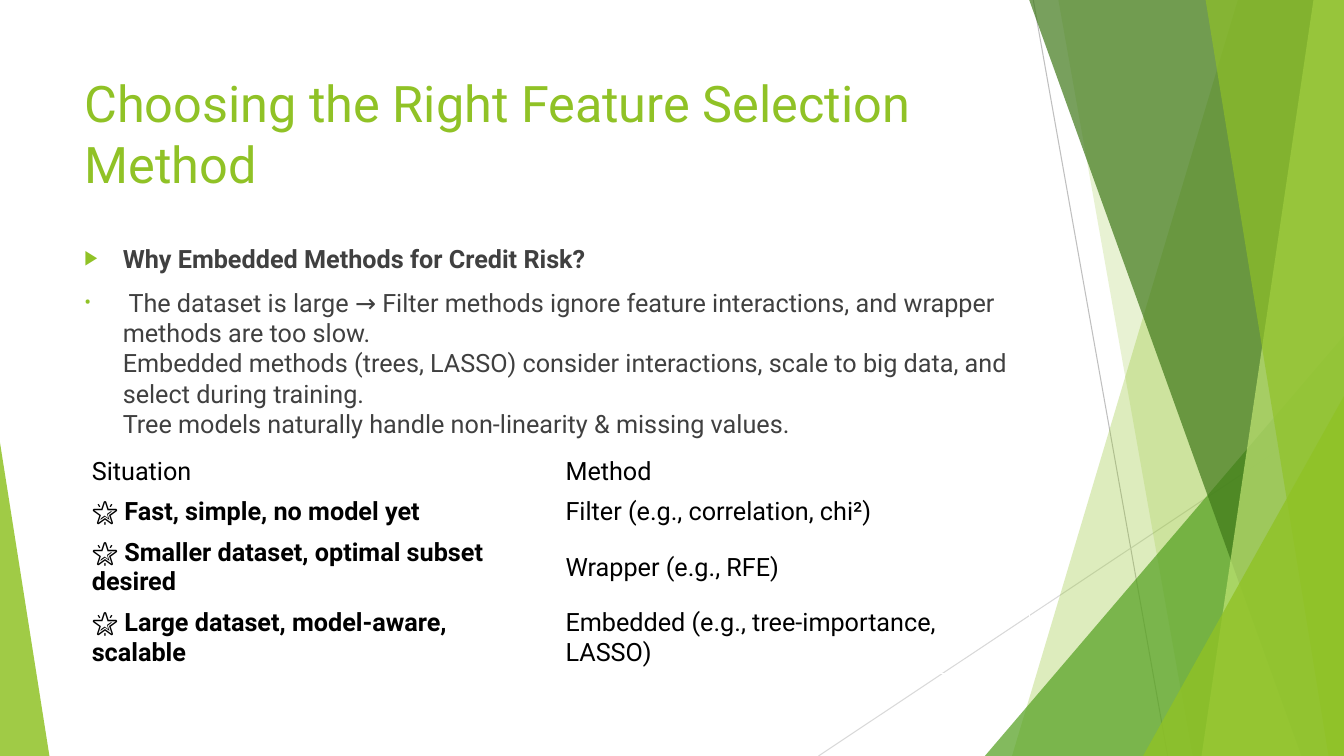
from lxml import etree
from pptx import Presentation
from pptx.dml.color import RGBColor
from pptx.enum.shapes import MSO_CONNECTOR, MSO_SHAPE
from pptx.enum.text import MSO_ANCHOR
from pptx.oxml.ns import qn
from pptx.util import Inches, Pt

STRAIGHT = MSO_CONNECTOR.STRAIGHT
TRIANGLE = MSO_SHAPE.ISOSCELES_TRIANGLE
MIDDLE = MSO_ANCHOR.MIDDLE

W, H = Inches(13.33), Inches(7.5)
FONT = "Roboto"
COLORS = {
    "green": "90C226", "mid": "54A021", "dark": "3F7819", "pale": "C0E474",
    "body": "404040", "black": "000000", "line": "BFBFBF", "faint": "D9D9D9",
}

BULLETS = [
    ("▶", True, "Why Embedded Methods for Credit Risk?"),
    ("•", False,
     " The dataset is large → Filter methods ignore feature interactions, "
     "and wrapper methods are too slow.\v"
     "Embedded methods (trees, LASSO) consider interactions, scale to big data, "
     "and select during training.\v"
     "Tree models naturally handle non-linearity & missing values."),
]
STAR = "🌟 "
HEADER = ("Situation", "Method")
METHODS = [
    ("Fast, simple, no model yet", "Filter (e.g., correlation, chi²)"),
    ("Smaller dataset, optimal subset desired", "Wrapper (e.g., RFE)"),
    ("Large dataset, model-aware, scalable",
     "Embedded (e.g., tree-importance, LASSO)"),
]
ROW_HEIGHTS = (5.33, 5.33, 9.33, 9.33)


# Lengths are percentages of the slide's width and height
def px(share):
    return int(W * share / 100)


def py(share):
    return int(H * share / 100)


def rgb(name):
    return RGBColor.from_string(COLORS[name])


def style_font(p, size, color, bold=None):
    p.font.name, p.font.size, p.font.bold = FONT, Pt(size), bold
    p.font.color.rgb = rgb(color)


def paint(sp, color, opacity):
    sp.shadow.inherit = False
    sp.fill.solid()
    sp.fill.fore_color.rgb = rgb(color)
    sp.line.fill.background()
    clr = sp.fill._xPr.find(qn("a:solidFill"))[0]
    etree.SubElement(clr, qn("a:alpha")).set("val", str(opacity * 1000))


def add_line(slide, x1, y1, x2, y2, color):
    line = slide.shapes.add_connector(STRAIGHT, px(x1), py(y1), px(x2), py(y2))
    line.line.color.rgb = rgb(color)
    line.line.width = Pt(0.75)
    etree.SubElement(line._element.spPr, qn("a:effectLst"))


def add_panel(slide, top_x, bottom_x, color, opacity):
    """Full-height panel with a slanted left edge, ending at the right edge."""
    builder = slide.shapes.build_freeform(px(top_x), 0)
    builder.add_line_segments([(W, 0), (W, H), (px(bottom_x), H)], close=True)
    paint(builder.convert_to_shape(), color, opacity)


def add_corner(slide, left, right, top, apex, color, opacity):
    """Triangle standing on the bottom edge of the slide."""
    sp = slide.shapes.add_shape(TRIANGLE, px(left), py(top),
                                px(right - left), H - py(top))
    sp.adjustments[0] = apex
    paint(sp, color, opacity)


def add_text_frame(slide, x, y, w, h):
    tf = slide.shapes.add_textbox(px(x), py(y), px(w), py(h)).text_frame
    tf.word_wrap = True
    return tf


def set_bullet(p, char):
    pPr = p._p.get_or_add_pPr()
    pPr.set("marL", str(Inches(0.38)))
    pPr.set("indent", str(-Inches(0.38)))
    bullet = [etree.Element(qn("a:buClr")),
              etree.Element(qn("a:buSzPct"), val="80000"),
              etree.Element(qn("a:buFont"), typeface=FONT),
              etree.Element(qn("a:buChar"), char=char)]
    etree.SubElement(bullet[0], qn("a:srgbClr"), val=COLORS["green"])
    at = list(pPr).index(pPr.find(qn("a:defRPr")))
    pPr[at:at] = bullet


def add_bullets(tf):
    for i, (char, bold, text) in enumerate(BULLETS):
        p = tf.add_paragraph() if i else tf.paragraphs[0]
        p.text = text
        p.space_before = Pt(10)
        style_font(p, 18, "body", bold)
        set_bullet(p, char)


def fill_cell(cell, text, starred):
    cell.fill.background()
    cell.vertical_anchor = MIDDLE
    p = cell.text_frame.paragraphs[0]
    style_font(p, 18, "black")
    if starred:
        p.add_run().text = STAR
    r = p.add_run()
    r.text = text
    r.font.bold = starred


def add_methods_table(slide, x, y, w):
    rows = [HEADER, *METHODS]
    table = slide.shapes.add_table(len(rows), len(HEADER), px(x), py(y),
                                   px(w), py(sum(ROW_HEIGHTS))).table
    table.first_row = table.horz_banding = False
    for i, (row, height) in enumerate(zip(rows, ROW_HEIGHTS)):
        table.rows[i].height = py(height)
        for j, text in enumerate(row):
            fill_cell(table.cell(i, j), text, starred=i > 0 and j == 0)


def add_decoration(slide):
    add_line(slide, 76.88, 0, 86.88, 100, "line")
    add_line(slide, 100, 53.73, 60.9, 100, "faint")
    add_panel(slide, 92.1, 75.3, "green", 30)
    add_panel(slide, 78.75, 88.73, "green", 20)
    add_corner(slide, 73.28, 100, 44.4, 1, "mid", 72)
    add_panel(slide, 76.58, 96.83, "dark", 70)
    add_panel(slide, 97.73, 89.4, "pale", 70)
    add_panel(slide, 89.7, 98.85, "green", 65)
    add_corner(slide, 85.05, 100, 52.4, 1, "green", 80)
    add_corner(slide, 0, 3.68, 58.53, 0, "green", 85)


def main():
    prs = Presentation()
    prs.slide_width, prs.slide_height = W, H
    slide = prs.slides.add_slide(prs.slide_layouts[6])
    add_decoration(slide)

    # Title
    p = add_text_frame(slide, 5.55, 8.93, 70.5, 19.2).paragraphs[0]
    p.text = "Choosing the Right Feature Selection Method"
    style_font(p, 36, "green")

    # Reasons and table of methods
    add_bullets(add_text_frame(slide, 5.55, 31.47, 70.5, 56.53))
    add_methods_table(slide, 6.08, 59.73, 70.5)
    prs.save("out.pptx")


if __name__ == "__main__":
    main()
